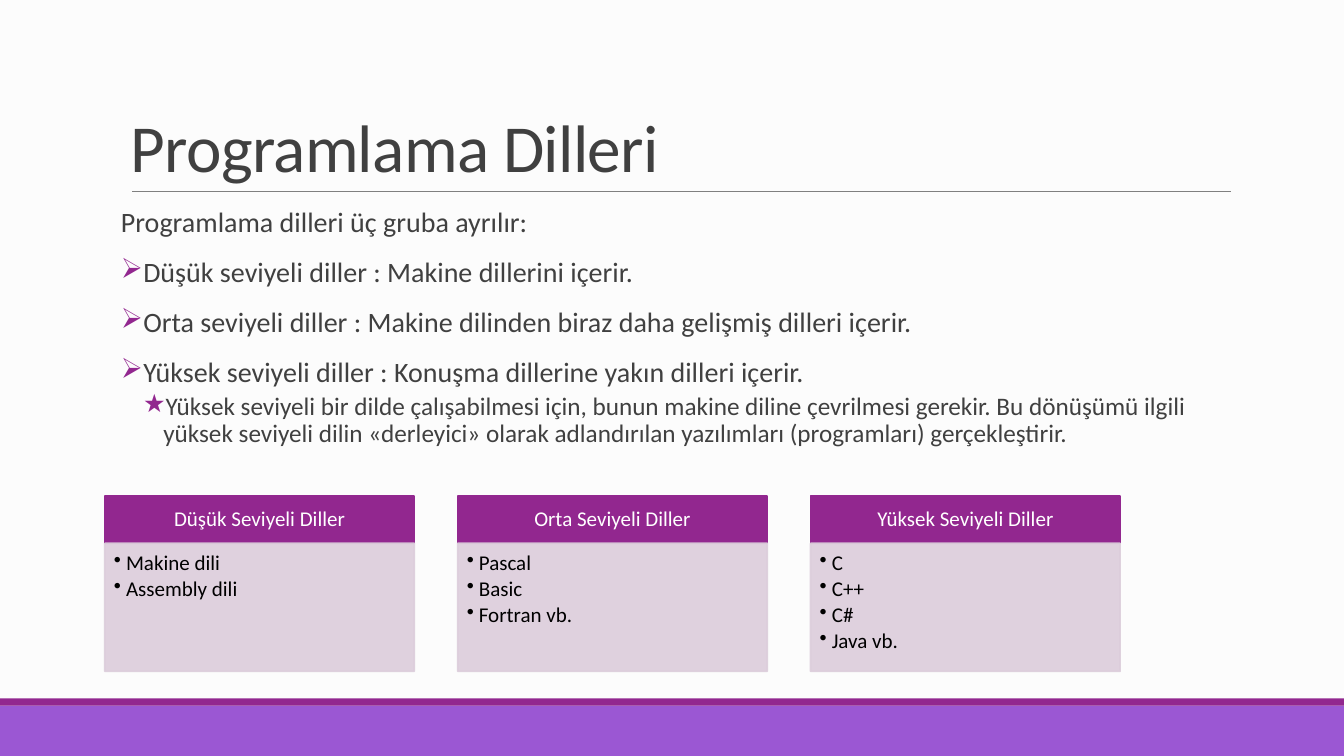
from lxml import etree
from pptx import Presentation
from pptx.dml.color import RGBColor
from pptx.enum.shapes import MSO_CONNECTOR, MSO_SHAPE
from pptx.enum.text import MSO_ANCHOR, PP_ALIGN
from pptx.oxml.ns import qn
from pptx.util import Inches, Pt

RECTANGLE = MSO_SHAPE.RECTANGLE
STRAIGHT = MSO_CONNECTOR.STRAIGHT
TOP, MIDDLE, BOTTOM = MSO_ANCHOR.TOP, MSO_ANCHOR.MIDDLE, MSO_ANCHOR.BOTTOM
LEFT, CENTER = PP_ALIGN.LEFT, PP_ALIGN.CENTER

PURPLE, VIOLET, LILAC = "92278F", "9B57D3", "DCCDDB"
INK, GRAY, PAPER, WHITE, BLACK = "404040", "808080", "FCFCFC", "FFFFFF", "000000"


def color(value):
    return RGBColor.from_string(value)


class SlideBuilder:
    font = "Calibri"
    line_spacing = 0.9

    def __init__(self, slide):
        self.slide = slide
        slide.background.fill.solid()
        slide.background.fill.fore_color.rgb = color(PAPER)

    def paint(self, fill, value, alpha):
        fill.solid()
        fill.fore_color.rgb = color(value)
        if alpha < 100:
            for tint in fill._xPr.iter(qn("a:srgbClr")):
                etree.SubElement(tint, qn("a:alpha"), val=str(alpha * 1000))

    def rectangle(self, left, top, width, height, fill, alpha=100, border=0):
        box = self.slide.shapes.add_shape(
            RECTANGLE, Inches(left), Inches(top), Inches(width), Inches(height))
        box.shadow.inherit = False
        if border:
            box.line.width = Pt(border)
            self.paint(box.line.fill, fill, alpha)
        else:
            box.line.fill.background()
        self.paint(box.fill, fill, alpha)
        return box

    def rule(self, left, right, top, value, width):
        line = self.slide.shapes.add_connector(
            STRAIGHT, Inches(left), Inches(top), Inches(right), Inches(top))
        line.line.color.rgb = color(value)
        line.line.width = Pt(width)
        etree.SubElement(line._element.spPr, qn("a:effectLst"))

    def text_box(self, left, top, width, height, margins, anchor=TOP):
        box = self.slide.shapes.add_textbox(
            Inches(left), Inches(top), Inches(width), Inches(height))
        return self.frame(box, margins, anchor)

    def frame(self, box, margins, anchor=TOP):
        frame = box.text_frame
        frame.word_wrap = True
        frame.vertical_anchor = anchor
        (frame.margin_left, frame.margin_top,
         frame.margin_right, frame.margin_bottom) = map(Inches, margins)
        return frame

    def paragraph(self, frame, text, size, value, align=LEFT, before=0, after=0,
                  spacing=line_spacing, bullet=None, bullet_color=None,
                  indent=0, hanging=0, tracking=0):
        para = frame.paragraphs[0]
        if para.runs:
            para = frame.add_paragraph()
        para.alignment = align
        para.line_spacing = spacing
        para.space_before, para.space_after = Pt(before), Pt(after)
        span = para.add_run()
        span.text = text
        span.font.name, span.font.size = self.font, Pt(size)
        span.font.color.rgb = color(value)
        if tracking:
            span.font._element.set("spc", str(int(tracking * 100)))
        if bullet:
            layout = para._p.get_or_add_pPr()
            layout.set("marL", str(Inches(indent)))
            layout.set("indent", str(-Inches(hanging)))
            if bullet_color:
                tint = etree.SubElement(layout, qn("a:buClr"))
                etree.SubElement(tint, qn("a:srgbClr"), val=bullet_color)
            etree.SubElement(layout, qn("a:buChar"), char=bullet)

    def card(self, left, top, width, heading, languages):
        header_height, list_height = 0.47, 1.27
        header = self.rectangle(left, top, width, header_height, PURPLE, border=1.25)
        frame = self.frame(header, (0.12, 0.07, 0.12, 0.07), MIDDLE)
        self.paragraph(frame, heading, 15, WHITE, align=CENTER)
        panel = self.rectangle(left, top + header_height, width, list_height,
                               LILAC, alpha=90, border=1.25)
        frame = self.frame(panel, (0.09, 0.09, 0.12, 0.13))
        for language in languages:
            self.paragraph(frame, language, 15, BLACK, after=2.25,
                           bullet="•", indent=0.12, hanging=0.12)


deck = Presentation()
deck.slide_width, deck.slide_height = Inches(13.33), Inches(7.5)
page = SlideBuilder(deck.slides.add_slide(deck.slide_layouts[6]))

page.rectangle(0, 7, 13.33, 0.5, VIOLET)
page.rectangle(0, 6.93, 13.33, 0.07, PURPLE)
page.rule(1.31, 12.21, 1.9, GRAY, 0.5)

title = page.text_box(1.2, 0.31, 11, 1.59, (0.1, 0.05, 0.1, 0.05), BOTTOM)
page.paragraph(title, "Programlama Dilleri", 48, INK, spacing=0.85, tracking=-0.5)

body = page.text_box(1.2, 2.02, 11, 2.7, (0, 0.05, 0, 0.05))
page.paragraph(body, "Programlama dilleri üç gruba ayrılır:", 20, INK, before=12, after=2)
for level in (
    "Düşük seviyeli diller : Makine dillerini içerir.",
    "Orta seviyeli diller : Makine dilinden biraz daha gelişmiş dilleri içerir.",
    "Yüksek seviyeli diller : Konuşma dillerine yakın dilleri içerir.",
):
    page.paragraph(body, level, 20, INK, before=12, after=2, bullet="➢",
                   bullet_color=PURPLE, indent=0.1, hanging=0.1)
page.paragraph(
    body,
    "Yüksek seviyeli bir dilde çalışabilmesi için, bunun makine diline çevrilmesi "
    "gerekir. Bu dönüşümü ilgili yüksek seviyeli dilin «derleyici» olarak "
    "adlandırılan yazılımları (programları) gerçekleştirir.",
    18, INK, before=2, after=4, bullet="★", bullet_color=PURPLE,
    indent=0.42, hanging=0.2)

cards = (
    ("Düşük Seviyeli Diller", ("Makine dili", "Assembly dili")),
    ("Orta Seviyeli Diller", ("Pascal", "Basic", "Fortran vb.")),
    ("Yüksek Seviyeli Diller", ("C", "C++", "C#", "Java vb.")),
)
for column, (heading, languages) in enumerate(cards):
    page.card(1.04 + 3.5 * column, 4.92, 3.07, heading, languages)

deck.save("out.pptx")
